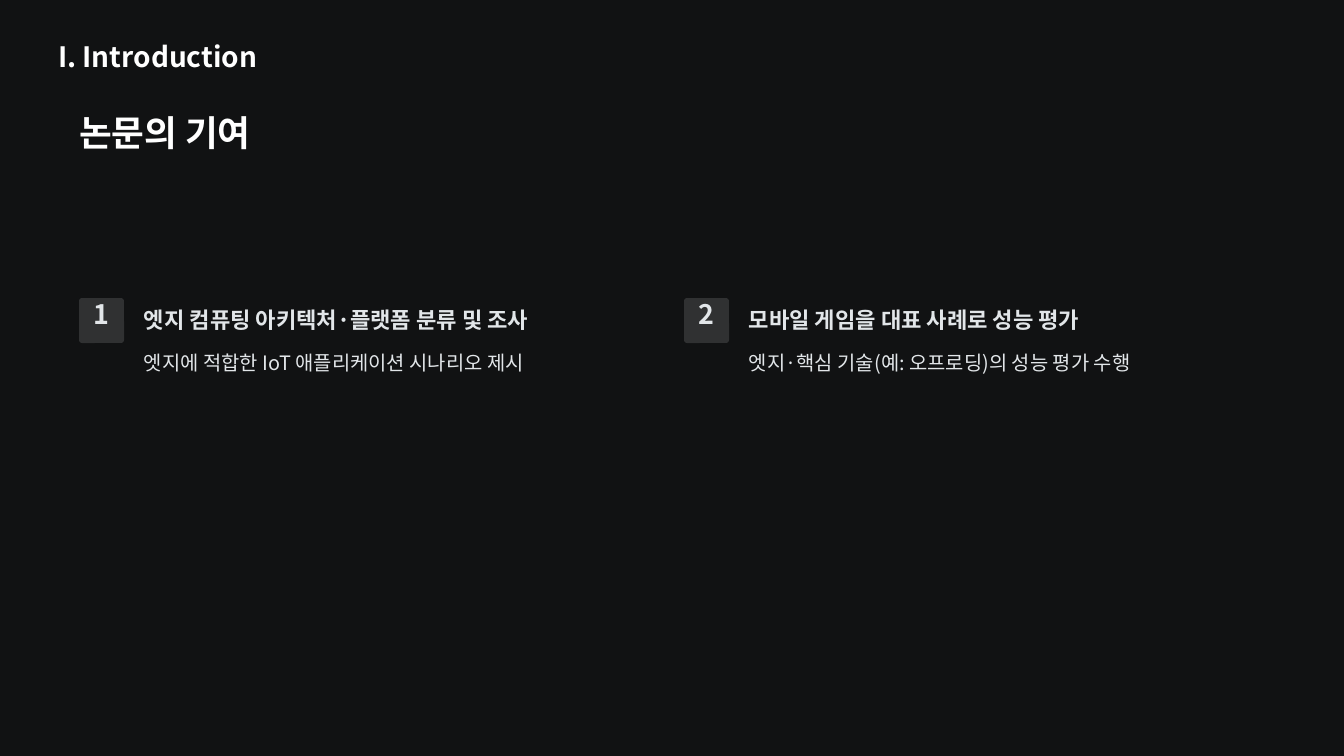
from lxml.etree import SubElement
from pptx import Presentation
from pptx.dml.color import RGBColor
from pptx.enum.shapes import MSO_SHAPE
from pptx.enum.text import PP_ALIGN
from pptx.oxml.ns import qn
from pptx.util import Emu, Pt

# Content: heading, heading width, detail, detail height
SECTION = "I. Introduction"
TITLE = "논문의 기여"
CONTRIBUTIONS = [
    ("엣지 컴퓨팅 아키텍처·플랫폼 분류 및 조사", 412,
     "엣지에 적합한 IoT 애플리케이션 시나리오 제시", 30),
    ("모바일 게임을 대표 사례로 성능 평가", 343,
     "엣지·핵심 기술(예: 오프로딩)의 성능 평가 수행", 60),
]

# Style and layout
FONT = "Noto Sans CJK KR"
BACKGROUND, BADGE, WHITE, LIGHT = "111213", "303132", "FFFFFF", "E2E6E9"
LEFT, TOP, COLUMN_PITCH = 79, 298, 605
BADGE_SIZE, TEXT_INDENT = 45, 65


def px(length):
    return Emu(round(length * 914400 / 84))


def color(hex_string):
    return RGBColor.from_string(hex_string)


def add_text(slide, text, box, size, line_height, ink, bold=True,
             align=PP_ALIGN.LEFT):
    frame = slide.shapes.add_textbox(*map(px, box)).text_frame
    frame.margin_left = frame.margin_top = 0
    frame.margin_right = frame.margin_bottom = 0
    frame.word_wrap = True
    paragraph = frame.paragraphs[0]
    paragraph.alignment = align
    paragraph.line_spacing = Pt(line_height)
    run = paragraph.add_run()
    run.text = text
    run.font.name = FONT
    run.font.size = Pt(size)
    run.font.bold = bold
    run.font.color.rgb = color(ink)
    # Hangul takes its typeface from the East Asian setting
    SubElement(run.font._element, qn("a:ea"), typeface=FONT)


def add_badge(slide, number, left):
    badge = slide.shapes.add_shape(
        MSO_SHAPE.ROUNDED_RECTANGLE, *map(px, (left, TOP, BADGE_SIZE, BADGE_SIZE)))
    badge.adjustments[0] = 0.07
    badge.shadow.inherit = False
    badge.fill.solid()
    badge.fill.fore_color.rgb = color(BADGE)
    badge.line.fill.background()
    add_text(slide, str(number), (left + 9, TOP + 5, 27, 34), 23, 23, LIGHT,
             align=PP_ALIGN.CENTER)


def main():
    deck = Presentation()
    deck.slide_width, deck.slide_height = px(1344), px(756)
    slide = deck.slides.add_slide(deck.slide_layouts[6])
    slide.background.fill.solid()
    slide.background.fill.fore_color.rgb = color(BACKGROUND)

    # Section and title
    add_text(slide, SECTION, (58, 40, 265, 33), 24, 28, WHITE)
    add_text(slide, TITLE, (LEFT, 109, 778, 45), 30.5, 38.5, WHITE)

    # Numbered contributions, one per column
    for column, (heading, width, detail, height) in enumerate(CONTRIBUTIONS):
        left = LEFT + column * COLUMN_PITCH
        text_left = left + TEXT_INDENT
        add_badge(slide, column + 1, left)
        add_text(slide, heading, (text_left, TOP + 7, width, 29), 19, 24, LIGHT)
        add_text(slide, detail, (text_left, TOP + 47, 516, height), 17, 25.5,
                 LIGHT, bold=False)

    deck.save("out.pptx")


if __name__ == "__main__":
    main()
